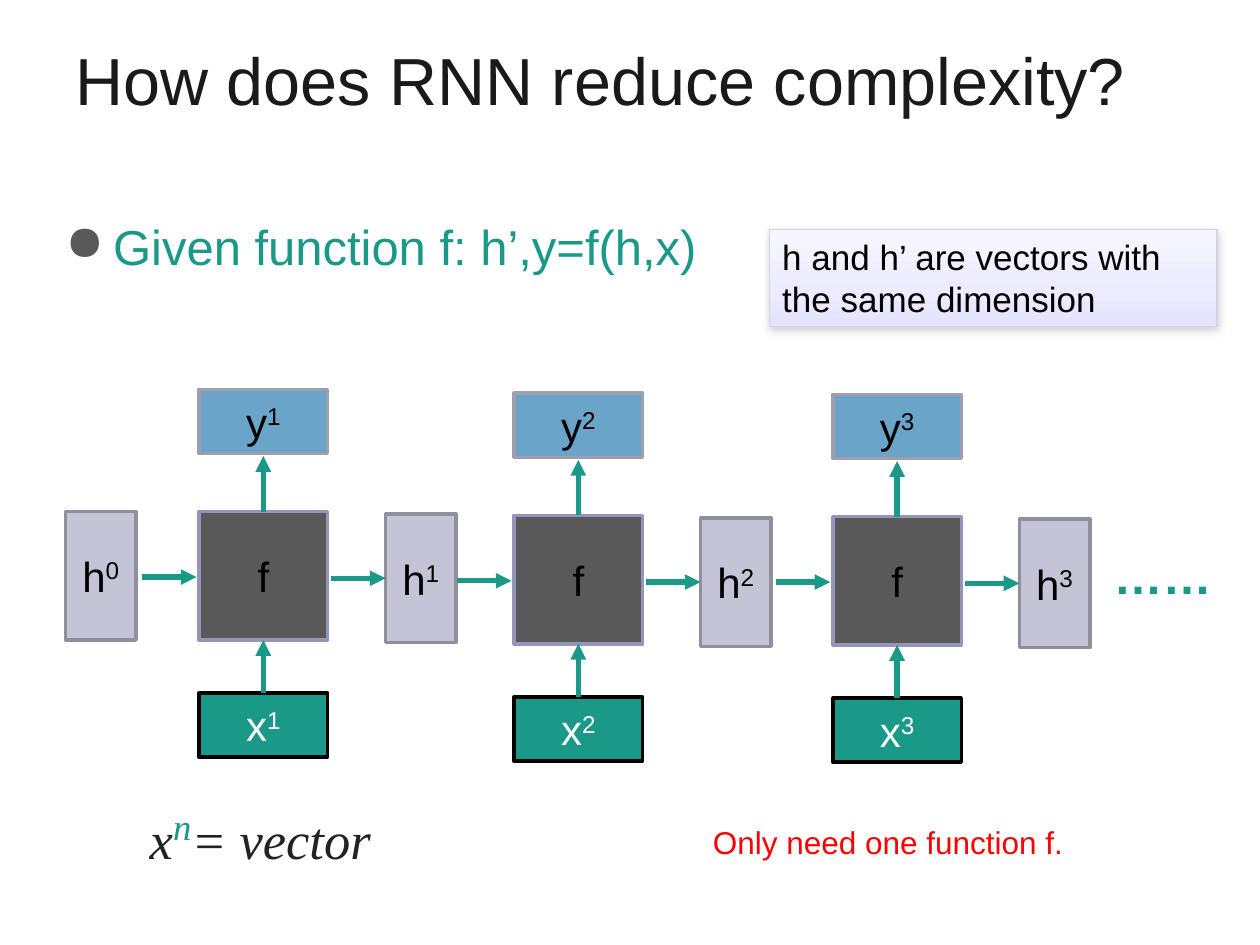
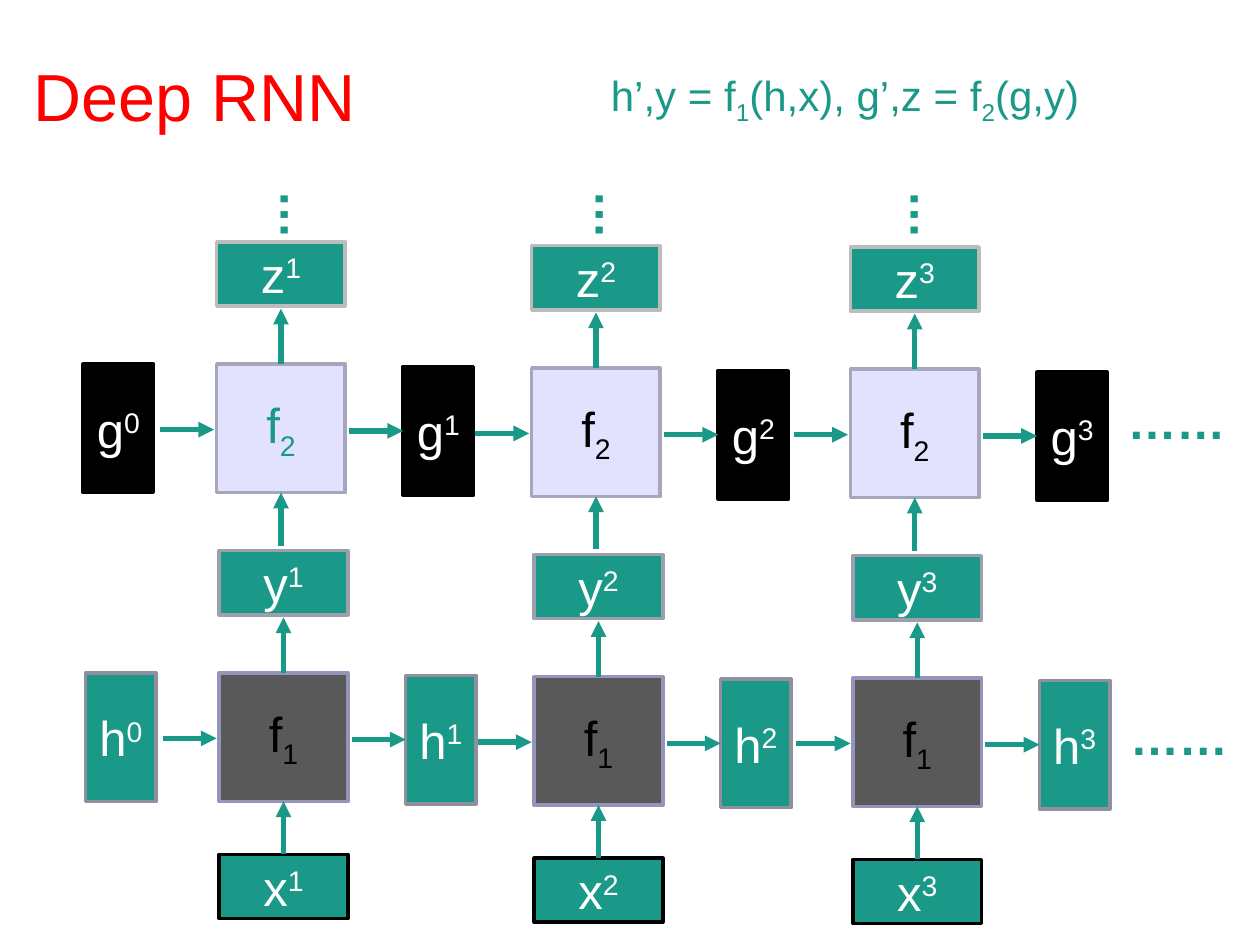
from lxml import etree
from pptx import Presentation
from pptx.dml.color import RGBColor
from pptx.enum.shapes import MSO_CONNECTOR, MSO_SHAPE
from pptx.enum.text import MSO_ANCHOR, PP_ALIGN
from pptx.oxml import parse_xml
from pptx.oxml.ns import nsdecls, qn
from pptx.util import Inches, Pt

TEAL, BLACK, WHITE, RED = "1A9988", "000000", "FFFFFF", "FF0000"
GREY, LAVENDER = "595959", "C4C4D6"
SUPER, SUB = 30, -25

# Column offsets from the first cell of a row
COLUMNS = [(0, 0), (2.5, 0.03), (5.03, 0.04)]
CELL, FLAT, NARROW = 1.02, 0.51, 0.56
MIDDLE = CELL / 2


def color(value):
    return RGBColor.from_string(value)


def assign(target, **values):
    for name, value in values.items():
        setattr(target, name, value)


class Deck:
    """Holds the presentation, its style and the current slide."""

    def __init__(self):
        self.prs = Presentation()
        assign(self.prs, slide_width=Inches(10), slide_height=Inches(7.5))

    def new_slide(self):
        self.slide = self.prs.slides.add_slide(self.prs.slide_layouts[6])

    def fill_text(self, shape, runs, size, ink, align=PP_ALIGN.LEFT,
                  anchor=MSO_ANCHOR.TOP, margins=(0.1, 0.05), **font):
        """Each run is (text, baseline percent[, font values])."""
        frame = shape.text_frame
        side, edge = (Inches(m) for m in margins)
        assign(frame, word_wrap=True, vertical_anchor=anchor,
               margin_left=side, margin_right=side,
               margin_top=edge, margin_bottom=edge)
        paragraph = frame.paragraphs[0]
        paragraph.alignment = align
        for text, baseline, *special in runs:
            run = paragraph.add_run()
            run.text = text
            values = {"name": "Arial", "size": size, "ink": ink, **font}
            values.update(*special)
            run.font.color.rgb = color(values.pop("ink"))
            values["size"] = Pt(values["size"])
            assign(run.font, **values)
            if baseline:
                run._r.get_or_add_rPr().set("baseline", str(baseline * 1000))
        return paragraph

    def text(self, left, top, width, height, runs, size, ink, **options):
        area = self.slide.shapes.add_textbox(*map(Inches, (left, top, width, height)))
        if isinstance(runs, str):
            runs = [(runs, 0)]
        return area, self.fill_text(area, runs, size, ink, **options)

    def title(self, left, top, width, height, words, ink):
        self.text(left, top, width, height, words, 38, ink, anchor=MSO_ANCHOR.MIDDLE)

    def dots(self, left, top, words="……", width=1.02, rotation=0):
        area, _ = self.text(left, top, width, 0.57, words, 28, TEAL, bold=True)
        area.rotation = rotation

    def box(self, left, top, width, height, look, line_width=2):
        fill, line = look
        rect = self.slide.shapes.add_shape(
            MSO_SHAPE.RECTANGLE, *map(Inches, (left, top, width, height)))
        rect.shadow.inherit = False
        rect.fill.solid()
        rect.fill.fore_color.rgb = color(fill)
        rect.line.color.rgb = color(line)
        rect.line.width = Pt(line_width)
        return rect

    def unit(self, left, top, width, height, look, name, index, size, baseline=SUPER):
        fill, line, ink = look
        rect = self.box(left, top, width, height, (fill, line))
        runs = [(name, 0)]
        if index != "":
            runs.append((str(index), baseline))
        self.fill_text(rect, runs, size, ink, PP_ALIGN.CENTER, MSO_ANCHOR.MIDDLE,
                       margins=(0, 0.05))
        return rect

    def arrow(self, x1, y1, x2, y2, begin=None, end=None):
        link = self.slide.shapes.add_connector(
            MSO_CONNECTOR.STRAIGHT, *map(Inches, (x1, y1, x2, y2)))
        if begin:
            link.begin_connect(*begin)
        if end:
            link.end_connect(*end)
        link.line.color.rgb = color(TEAL)
        link.line.width = Pt(3)
        props = link._element.spPr
        etree.SubElement(props.find(qn("a:ln")), qn("a:tailEnd"), type="triangle")
        etree.SubElement(props, qn("a:effectLst"))

    def note(self, left, top, width, height, words):
        """Box with a soft gradient and a drop shadow."""
        rect = self.box(left, top, width, height, (WHITE, "D4D3E7"), 0.75)
        stops = "".join(
            f'<a:gs pos="{pos}000"><a:srgbClr val="{tone}"/></a:gs>'
            for pos, tone in [(0, "F7F6FF"), (65, "ECEBFF"), (100, "E5E3FF")])
        props = rect._element.spPr
        props.replace(props.find(qn("a:solidFill")), parse_xml(
            f'<a:gradFill {nsdecls("a")}><a:gsLst>{stops}</a:gsLst>'
            '<a:lin ang="5400000" scaled="0"/></a:gradFill>'))
        props.find(qn("a:effectLst")).append(parse_xml(
            f'<a:outerShdw {nsdecls("a")} blurRad="{Pt(5)}" dist="{Pt(1.6)}" '
            'dir="5400000" rotWithShape="0"><a:srgbClr val="808080">'
            '<a:alpha val="37000"/></a:srgbClr></a:outerShdw>'))
        self.fill_text(rect, [(words, 0)], 20, BLACK)

    def bullet(self, left, top, width, height, words):
        _, paragraph = self.text(left, top, width, height, words, 28, TEAL)
        paragraph.space_before = Pt(4)
        props = paragraph._p.get_or_add_pPr()
        indent = Inches(0.38)
        for name, value in {"marL": indent, "indent": -indent}.items():
            props.set(name, str(value))
        tone = etree.SubElement(props, qn("a:buClr"))
        etree.SubElement(tone, qn("a:srgbClr"), val=GREY)
        etree.SubElement(props, qn("a:buChar"), char="●")

    def rnn_row(self, left, top, size, function, state, output, source=None, layer="",
                first_ink=None):
        """One recurrent layer; state, output and source are (name, look)."""
        state_name, state_look = state
        output_name, output_look = output
        self.unit(left - 1.06, top, NARROW, CELL, state_look, state_name, 0, size)
        for step, (dx, dy) in enumerate(COLUMNS, 1):
            x, y = left + dx, top + dy
            axis = x + MIDDLE
            look = function
            if first_ink and step == 1:
                look = (*function[:2], first_ink)
            # Function, next state and output
            cell = self.unit(x, y, CELL, CELL, look, "f", layer, size, SUB)
            following = self.unit(x + 1.48, y + 0.02, NARROW, CELL,
                                  state_look, state_name, step, size)
            self.unit(x, y - 0.97, CELL, FLAT, output_look, output_name, step, size)
            # Input from below
            below = None
            if source:
                source_name, source_look = source
                entry = self.unit(x, y + 1.44, CELL, FLAT, source_look,
                                  source_name, step, size)
                below = (entry, 0)
            # Flow
            self.arrow(x - 0.45, y + 0.52, x - 0.02, y + 0.52)
            self.arrow(x + 1.05, y + 0.53, x + 1.48, y + 0.53, end=(following, 1))
            self.arrow(axis, y, axis, y - 0.44, begin=(cell, 0))
            self.arrow(axis, y + 1.44, axis, y + CELL, begin=below, end=(cell, 2))


def build_single_layer(deck):
    deck.new_slide()
    deck.title(0.5, 0, 9, 1.25, "How does RNN reduce complexity?", "1A1A1A")
    deck.rnn_row(1.58, 4.06, 24, (GREY, "9595BC", BLACK),
                 ("h", (LAVENDER, "8F8F9D", BLACK)),
                 ("y", ("6AA4C8", "9F9EAD", BLACK)),
                 ("x", (TEAL, BLACK, WHITE)))
    deck.dots(8.74, 4.28)
    deck.text(5.56, 6.48, 4.4, 0.5, "Only need one function f.", 18, RED)
    deck.note(6.11, 1.82, 3.55, 0.77, "h and h’ are vectors with the same dimension")
    deck.bullet(0.42, 1.67, 5.6, 0.7, "Given function f: h’,y=f(h,x)")
    deck.text(1.09, 6.22, 2, 0.69,
              [("x", 0), ("n", SUPER, {"size": 36, "ink": TEAL}), ("= vector", 0)],
              30, "222222", margins=(0.1, 0.1), name="Times New Roman", italic=True)


def build_deep(deck):
    deck.new_slide()
    deck.title(0.17, 0.17, 3.25, 1.17, "Deep RNN", RED)
    # Lower layer
    deck.rnn_row(1.74, 5.34, 28, (GREY, "9595BC", BLACK),
                 ("h", (TEAL, "8F8F9D", WHITE)),
                 ("y", (TEAL, "9F9EAD", WHITE)),
                 ("x", (TEAL, BLACK, WHITE)), layer=1)
    deck.dots(8.87, 5.56)
    # Upper layer
    deck.rnn_row(1.72, 2.89, 28, ("E2E2FF", "A6A6BC", BLACK),
                 ("g", (BLACK, BLACK, WHITE)),
                 ("z", (TEAL, "BCBCBC", WHITE)), layer=2, first_ink=TEAL)
    deck.dots(8.85, 3.05)
    # Further layers
    for step in range(3):
        deck.dots(2.14 + 2.5 * step, 1.37, "…", 0.48, 90)
    deck.text(4.75, 0.5, 3.99, 0.51,
              [("h’,y = f", 0), ("1", SUB), ("(h,x), g’,z = f", 0), ("2", SUB), ("(g,y)", 0)],
              24, TEAL)


def main():
    deck = Deck()
    build_single_layer(deck)
    build_deep(deck)
    deck.prs.save("out.pptx")


if __name__ == "__main__":
    main()
